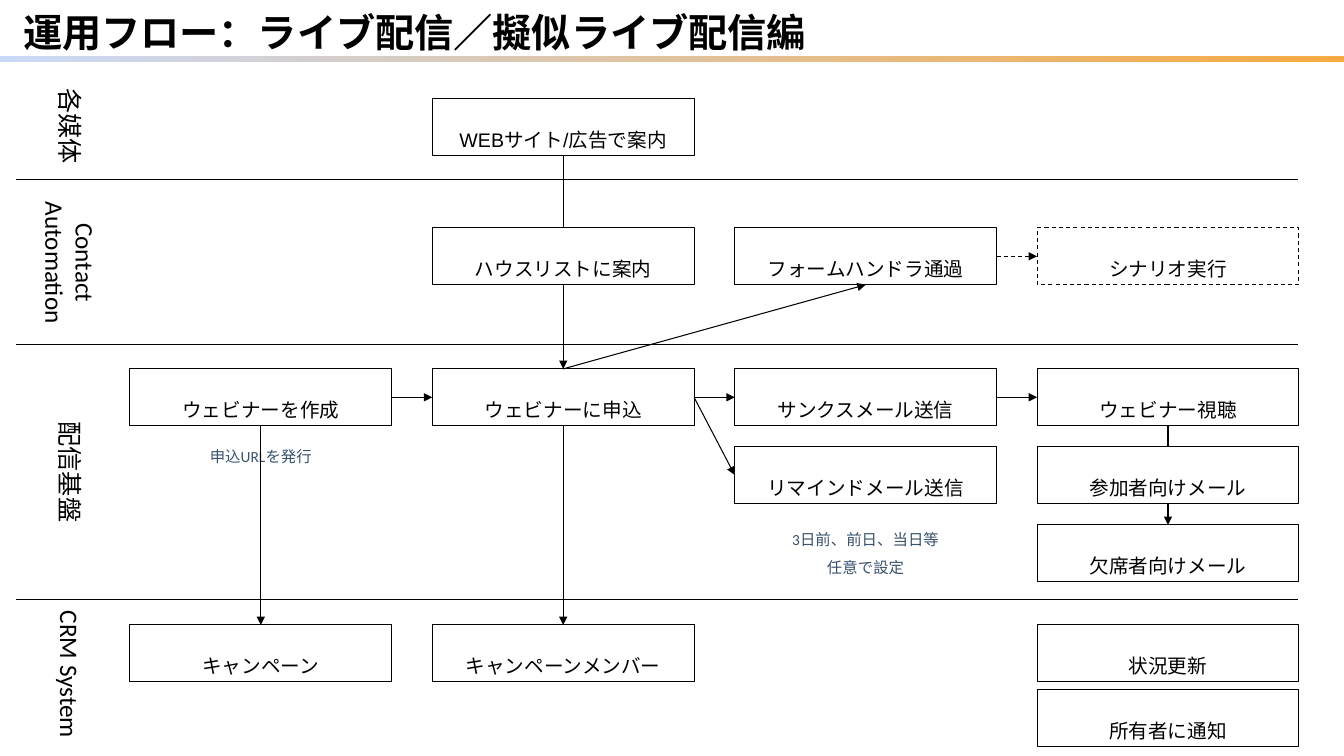
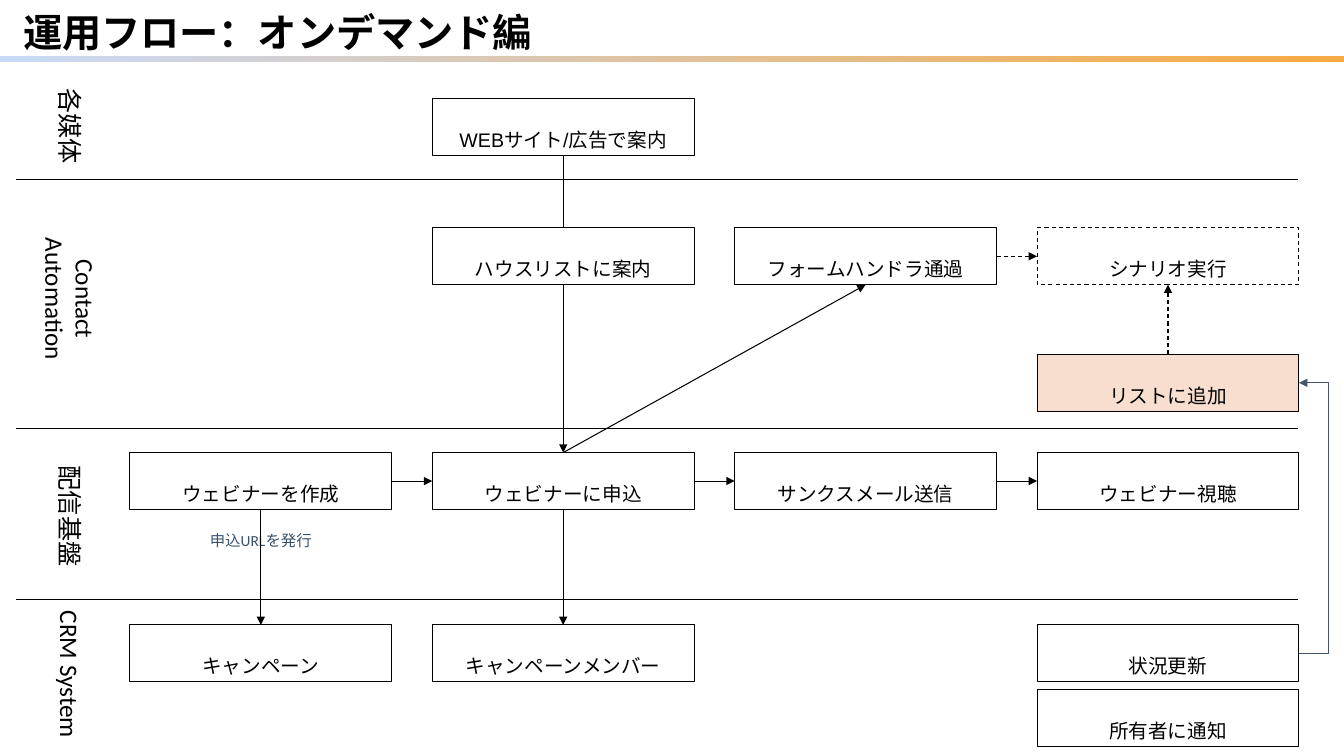
from lxml import etree
from pptx import Presentation
from pptx import util as u
from pptx.dml import color
from pptx.enum import dml, shapes, text
from pptx.oxml import ns

TOP, LEFT, BOTTOM, RIGHT = range(4)
BOX_WIDTH, BOX_HEIGHT = 187, 40.6
COLUMNS = [92.8 + 216 * index for index in range(4)]
MEDIA_ROW, LIST_ROW, RECORD_ROW, NOTICE_ROW = 70.4, 162.8, 446.4, 492.5
MEDIA_DIVIDER, RECORD_DIVIDER = 128, 428.4


class FlowSheet:
    """Style and drawing methods for the swimlane slides."""

    COLORS = {"ink": "000000", "paper": "FFFFFF", "note": "38516D", "accent": "F7DECF",
              "loop": "44546A", "band_start": "C9DAF8", "band_end": "F7AA42"}
    BODY, HEADING = "Calibri", "Arial"

    def __init__(self, deck, title):
        self.slide = deck.slides.add_slide(deck.slide_layouts[6])
        self.band()
        self.words(title, 9.4, 0, 940, 49, 28, font=self.HEADING, bold=True,
                   align=text.PP_ALIGN.LEFT, spacing=0.9, anchor=text.MSO_ANCHOR.MIDDLE)

    def rgb(self, name):
        return color.RGBColor.from_string(self.COLORS[name])

    def band(self):
        band = self.slide.shapes.add_shape(
            shapes.MSO_SHAPE.RECTANGLE, u.Pt(0), u.Pt(40.2), u.Pt(960), u.Pt(4.3))
        band.shadow.inherit = False
        band.line.fill.background()
        band.fill.gradient()
        band.fill.gradient_angle = 0
        for stop, name in zip(band.fill.gradient_stops, ("band_start", "band_end")):
            stop.color.rgb = self.rgb(name)

    def letter(self, shape, wording, size, font=BODY, ink="ink", bold=False,
               align=text.PP_ALIGN.CENTER, spacing=1.0, anchor=text.MSO_ANCHOR.TOP):
        frame = shape.text_frame
        frame.word_wrap = True
        frame.vertical_anchor = anchor
        frame.text = wording
        for para in frame.paragraphs:
            para.alignment = align
            para.line_spacing = spacing
            for span in para.runs:
                span.font.name = font
                span.font.size = u.Pt(size)
                span.font.bold = bold
                span.font.color.rgb = self.rgb(ink)

    def words(self, wording, left, top, width, height, size, **style):
        box = self.slide.shapes.add_textbox(u.Pt(left), u.Pt(top), u.Pt(width), u.Pt(height))
        self.letter(box, wording, size, **style)
        return box

    def note(self, wording, column, top, height=28):
        self.words(wording, COLUMNS[column] + 8, top, 171, height, 11, ink="note", spacing=1.5)

    def lane_label(self, wording, middle):
        length, height = 118, 51 if "\n" in wording else 29
        label = self.words(wording, 50 - length / 2, middle - height / 2, length, height, 18)
        label.rotation = 90

    def box(self, wording, column, top, fill=None, dashed=False, font=BODY):
        box = self.slide.shapes.add_shape(
            shapes.MSO_SHAPE.RECTANGLE, u.Pt(COLUMNS[column]), u.Pt(top),
            u.Pt(BOX_WIDTH), u.Pt(BOX_HEIGHT))
        box.shadow.inherit = False
        if fill:
            box.fill.solid()
            box.fill.fore_color.rgb = self.rgb(fill)
        else:
            box.fill.background()
        self.stroke(box, dashed=dashed)
        self.letter(box, wording, 14, font=font, spacing=2.07, anchor=text.MSO_ANCHOR.MIDDLE)
        return box

    def stroke(self, shape, ink="ink", dashed=False):
        shape.line.color.rgb = self.rgb(ink)
        shape.line.width = u.Pt(0.75)
        if dashed:
            shape.line.dash_style = dml.MSO_LINE.DASH

    def connector(self, kind, start, end, ink="ink", dashed=False, head=True):
        line = self.slide.shapes.add_connector(kind, *map(u.Pt, (*start, *end)))
        self.stroke(line, ink, dashed)
        if head:
            outline = line._element.spPr.find(ns.qn("a:ln"))
            etree.SubElement(outline, ns.qn("a:tailEnd"), type="triangle")
        etree.SubElement(line._element.spPr, ns.qn("a:effectLst"))
        return line

    def divider(self, top):
        self.connector(shapes.MSO_CONNECTOR.STRAIGHT, (11.5, top), (927.4, top), head=False)

    def arrow(self, source, source_side, target, target_side, dashed=False):
        line = self.connector(shapes.MSO_CONNECTOR.STRAIGHT, (0, 0), (0, 0), dashed=dashed)
        line.begin_connect(source, source_side)
        line.end_connect(target, target_side)

    def loop(self, start_row, end_row, reach=18.7, offset=0.05):
        right, half = COLUMNS[-1] + BOX_WIDTH, BOX_HEIGHT / 2
        line = self.connector(shapes.MSO_CONNECTOR.ELBOW, (right, start_row + half),
                              (right + offset, end_row + half), ink="loop")
        guides = line._element.spPr.find(ns.qn("a:prstGeom")).get_or_add_avLst()
        etree.SubElement(guides, ns.qn("a:gd"), name="adj1",
                         fmla=f"val {round(reach / offset * 100000)}")


def draw_flow(deck, title, divider, engagement_middle, webinar_middle):
    sheet = FlowSheet(deck, title)
    row = divider + 17.1
    for top in (MEDIA_DIVIDER, divider, RECORD_DIVIDER):
        sheet.divider(top)
    for wording, middle in (("各媒体", 90), ("Contact\nAutomation", engagement_middle),
                            ("配信基盤", webinar_middle), ("CRM System", 481.7)):
        sheet.lane_label(wording, middle)

    media = sheet.box("WEBサイト/広告で案内", 1, MEDIA_ROW, font=sheet.HEADING)
    steps = [sheet.box(wording, column, row) for column, wording in enumerate(
        ("ウェビナーを作成", "ウェビナーに申込", "サンクスメール送信", "ウェビナー視聴"))]
    create, apply, thanks, watch = steps
    sheet.note("申込URLを発行", 0, row + 46)
    for source, target in zip(steps, steps[1:]):
        sheet.arrow(source, RIGHT, target, LEFT)

    sheet.arrow(media, BOTTOM, apply, TOP)
    sheet.box("ハウスリストに案内", 1, LIST_ROW, fill="paper")
    handler = sheet.box("フォームハンドラ通過", 2, LIST_ROW, fill="paper")
    scenario = sheet.box("シナリオ実行", 3, LIST_ROW, fill="paper", dashed=True)
    sheet.arrow(apply, TOP, handler, BOTTOM)
    sheet.arrow(handler, RIGHT, scenario, LEFT, dashed=True)

    for column, (source, wording) in enumerate(
            ((create, "キャンペーン"), (apply, "キャンペーンメンバー"))):
        sheet.arrow(source, BOTTOM, sheet.box(wording, column, RECORD_ROW), TOP)
    sheet.box("状況更新", 3, RECORD_ROW)
    sheet.box("所有者に通知", 3, NOTICE_ROW)
    return sheet, apply, watch, scenario


def draw_live(deck):
    sheet, apply, watch, _ = draw_flow(
        deck, "運用フロー：ライブ配信／擬似ライブ配信編", 246.4, 187.6, 337)
    reminder = sheet.box("リマインドメール送信", 2, 319)
    sheet.arrow(apply, RIGHT, reminder, LEFT)
    sheet.note("3日前、前日、当日等\n任意で設定", 2, 368.6, height=50)
    absent = sheet.box("欠席者向けメール", 3, 375)
    sheet.arrow(watch, BOTTOM, absent, TOP)
    sheet.box("参加者向けメール", 3, 319, fill="paper")


def draw_on_demand(deck):
    sheet, _, _, scenario = draw_flow(
        deck, "運用フロー：オンデマンド編", 306.2, 213.5, 368.6)
    list_row = 253.2
    addition = sheet.box("リストに追加", 3, list_row, fill="accent")
    sheet.arrow(addition, TOP, scenario, BOTTOM, dashed=True)
    sheet.loop(RECORD_ROW, list_row)


def main():
    deck = Presentation()
    deck.slide_width, deck.slide_height = u.Pt(960), u.Pt(540)
    draw_live(deck)
    draw_on_demand(deck)
    deck.save("out.pptx")


if __name__ == "__main__":
    main()
